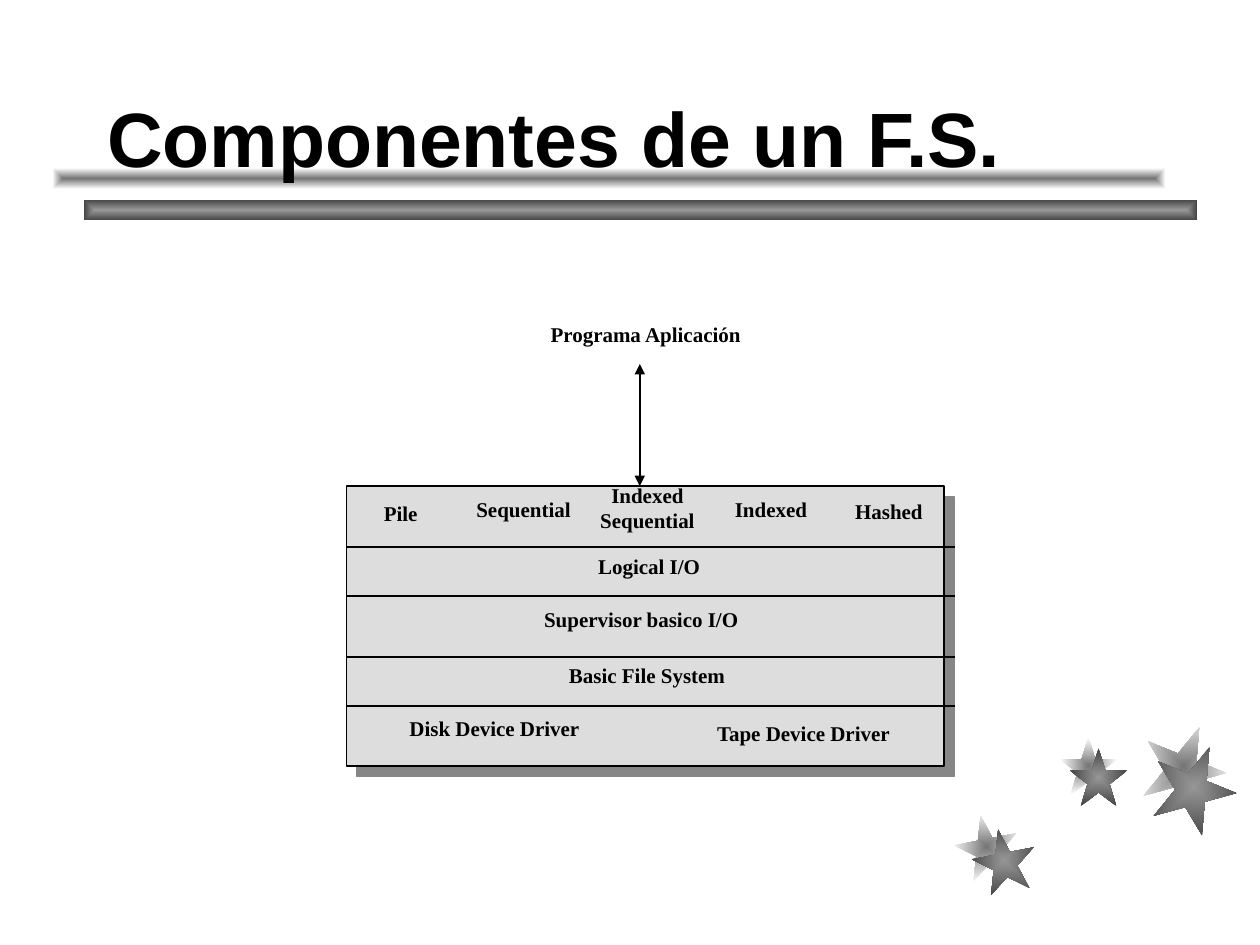
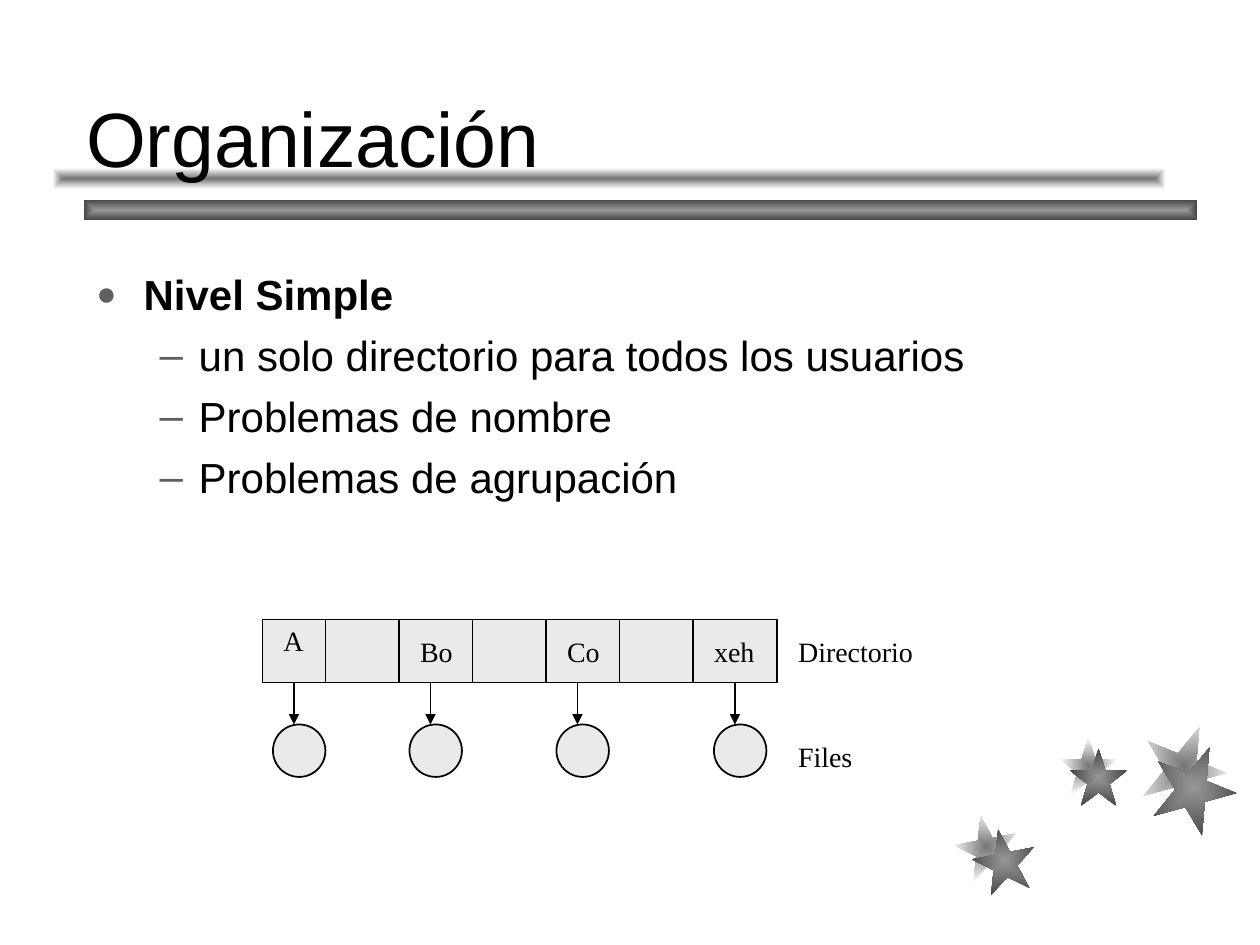
from lxml import etree
from pptx import Presentation
from pptx.dml.color import RGBColor
from pptx.enum.shapes import MSO_CONNECTOR, MSO_SHAPE
from pptx.enum.text import MSO_ANCHOR, MSO_AUTO_SIZE, PP_ALIGN
from pptx.oxml.ns import qn
from pptx.util import Pt

STRAIGHT = MSO_CONNECTOR.STRAIGHT
RECT, OVAL, STAR = MSO_SHAPE.RECTANGLE, MSO_SHAPE.OVAL, MSO_SHAPE.STAR_5_POINT
LEFT, CENTER = PP_ALIGN.LEFT, PP_ALIGN.CENTER
BOTTOM, NO_FIT = MSO_ANCHOR.BOTTOM, MSO_AUTO_SIZE.NONE
TITLE_ONLY = 5

INK, BULLET, SHADOW = "000000", "5F5F5F", "868686"
LAYER_FILL, DIRECTORY_FILL = "DDDDDD", "EAEAEA"
# Gradient colours from the centre to the edge
SOFT, DARK = ("757575", "FFFFFF"), ("969696", "454545")

TITLE = {"name": "Arial", "size": Pt(44), "bold": False}
TITLE_BOLD = {**TITLE, "bold": True}
BODY = {"name": "Arial", "size": Pt(24), "bold": False}
BODY_BOLD = {**BODY, "bold": True}
LAYER_LABEL = {"name": "Times New Roman", "size": Pt(12), "bold": True}
DIRECTORY_LABEL = {"name": "Times New Roman", "size": Pt(16), "bold": False}

# Gradient, then left, top, size and rotation
STARS = [
    (SOFT, 545.8, 465.8, 36, 349), (SOFT, 605.5, 421.2, 33, 0),
    (SOFT, 652.3, 414, 48, 22),
    (DARK, 555.8, 473.8, 36, 349), (DARK, 611.3, 427.7, 33, 0),
    (DARK, 658.1, 425.5, 48, 22),
]
BANDS = [(DARK, 48, 114), (SOFT, 30, 96)]


def rgb(color):
    return RGBColor.from_string(color)


def add_xml(parent, tag, **attributes):
    return etree.SubElement(parent, qn(tag), attributes)


def set_font(font, style):
    for key, value in style.items():
        setattr(font, key, value)
    font.color.rgb = rgb(INK)


class Deck:
    def __init__(self):
        self.presentation = Presentation()
        self.presentation.slide_width = Pt(720)
        self.presentation.slide_height = Pt(540)
        self.shapes = None

    def new_slide(self, title, left, style):
        layout = self.presentation.slide_layouts[TITLE_ONLY]
        self.shapes = self.presentation.slides.add_slide(layout).shapes
        self.decorate()
        heading = self.shapes.title
        # The heading lies in front of the bands
        self.shapes.element.append(heading.element)
        frame_place = {"left": left, "top": 18, "width": 612, "height": 90}
        for key, value in frame_place.items():
            setattr(heading, key, Pt(value))
        frame = heading.text_frame
        frame.text = title
        frame.vertical_anchor = BOTTOM
        frame.auto_size = NO_FIT
        frame.paragraphs[0].alignment = LEFT
        set_font(frame.paragraphs[0].font, style)

    def decorate(self):
        for gradient, left, top, size, rotation in STARS:
            self.gradient_shape(STAR, left, top, size, size, gradient, rotation)
        for gradient, left, top in BANDS:
            self.gradient_shape(RECT, left, top, 636, 12, gradient)

    def add_plain(self, kind, left, top, width, height):
        shape = self.shapes.add_shape(kind, Pt(left), Pt(top), Pt(width), Pt(height))
        shape.shadow.inherit = False
        return shape

    def gradient_shape(self, kind, left, top, width, height, gradient, rotation=0):
        shape = self.add_plain(kind, left, top, width, height)
        shape.rotation = rotation
        shape.line.fill.background()
        shape.fill.gradient()
        for stop, color in zip(shape.fill.gradient_stops, gradient):
            stop.color.rgb = rgb(color)
        grad = shape.element.spPr.find(qn("a:gradFill"))
        grad.remove(grad.find(qn("a:lin")))
        spread = add_xml(grad, "a:path", path="rect")
        add_xml(spread, "a:fillToRect", l="50000", t="50000", r="50000", b="50000")

    def outlined(self, kind, left, top, width, height, fill):
        shape = self.add_plain(kind, left, top, width, height)
        shape.fill.solid()
        shape.fill.fore_color.rgb = rgb(fill)
        shape.line.color.rgb = rgb(INK)
        shape.line.width = Pt(1)
        return shape

    def cast_shadow(self, shape):
        effects = shape.element.spPr.find(qn("a:effectLst"))
        outer = add_xml(effects, "a:outerShdw", dist=str(Pt(8.5)), dir="2700000",
                        algn="ctr", rotWithShape="0")
        add_xml(outer, "a:srgbClr", val=SHADOW)

    def line(self, x1, y1, x2, y2, arrows=()):
        """Draw a line; arrows may hold "headEnd" and "tailEnd", in that order."""
        connector = self.shapes.add_connector(STRAIGHT, Pt(x1), Pt(y1), Pt(x2), Pt(y2))
        connector.line.color.rgb = rgb(INK)
        connector.line.width = Pt(1)
        outline = connector.element.spPr.find(qn("a:ln"))
        for end in arrows:
            add_xml(outline, f"a:{end}", type="triangle")
        add_xml(connector.element.spPr, "a:effectLst")

    def label(self, text, left, top, width, height, style, align=LEFT):
        box = self.shapes.add_textbox(Pt(left), Pt(top), Pt(width), Pt(height))
        frame = box.text_frame
        frame.word_wrap = False
        frame.text = text
        for paragraph in frame.paragraphs:
            paragraph.alignment = align
            set_font(paragraph.font, style)

    def bullets(self, items, left, top, width, height):
        """Write (level, text) items as a two-level list."""
        box = self.shapes.add_textbox(Pt(left), Pt(top), Pt(width), Pt(height))
        frame = box.text_frame
        frame.word_wrap = True
        for index, (level, text) in enumerate(items):
            paragraph = frame.add_paragraph() if index else frame.paragraphs[0]
            mark, size, margin, indent, style = (
                ("–", 100, 58.5, 22.3, BODY) if level
                else ("●", 80, 27, 27, BODY_BOLD))
            paragraph.text = text
            paragraph.level = level
            if index:
                paragraph.space_before = Pt(6)
            properties = paragraph._p.get_or_add_pPr()
            properties.set("marL", str(Pt(margin)))
            properties.set("indent", str(-Pt(indent)))
            color = add_xml(properties, "a:buClr")
            add_xml(color, "a:srgbClr", val=BULLET)
            add_xml(properties, "a:buSzPct", val=str(size * 1000))
            add_xml(properties, "a:buFont", typeface="Arial")
            add_xml(properties, "a:buChar", char=mark)
            set_font(paragraph.font, style)


def build_components(deck):
    deck.new_slide("Componentes de un F.S.", 54, TITLE_BOLD)
    left, top, width, height = 198, 277.8, 341.3, 160
    layers = deck.outlined(RECT, left, top, width, height, LAYER_FILL)
    deck.cast_shadow(layers)
    for boundary in (312.5, 340.5, 375.3, 403.3):
        deck.line(left, boundary, 546, boundary)
    deck.line(365.6, 208, 365.6, top, ("headEnd", "tailEnd"))
    labels = [
        ("Programa Aplicación", 369, 180),
        ("Pile", 229, 282.5),
        ("Sequential", 299.2, 280),
        ("Indexed\nSequential", 370, 272),
        ("Indexed", 440.6, 280),
        ("Hashed", 508, 281.3),
        ("Logical I/O", 371, 312.8),
        ("Supervisor basico I/O", 366.5, 343),
        ("Basic File System", 369.8, 375),
        ("Disk Device Driver", 282.6, 405.4),
        ("Tape Device Driver", 459.2, 408),
    ]
    label_width = 144
    for text, center, label_top in labels:
        label_height = 36 if "\n" in text else 21.6
        deck.label(text, center - label_width / 2, label_top, label_width,
                   label_height, LAYER_LABEL, CENTER)


def build_organization(deck):
    deck.new_slide("Organización", 42, TITLE)
    deck.bullets([
        (0, "Nivel Simple"),
        (1, "un solo directorio para todos los usuarios"),
        (1, "Problemas de nombre"),
        (1, "Problemas de agrupación"),
    ], 48, 150, 618, 324)

    top, height, cell = 354, 36, 42
    bottom, files_top = top + height, 414
    deck.outlined(RECT, 150, top, 294, height, DIRECTORY_FILL)
    for index in range(6):
        divider = 186 + index * cell
        deck.line(divider, top, divider, bottom)

    entries = [
        # name, its left and top, left of its file
        ("A", 154.8, 353, 156),
        ("Bo", 233, 359, 234),
        ("Co", 317, 359, 318),
        ("xeh", 401, 359, 408),
    ]
    for name, name_left, name_top, file_left in entries:
        deck.outlined(OVAL, file_left, files_top, 30, 30, DIRECTORY_FILL)
        deck.line(file_left + 12, bottom, file_left + 12, files_top, ("tailEnd",))
        deck.label(name, name_left, name_top, 42, 26.6, DIRECTORY_LABEL)
    deck.label("Directorio", 449, 359, 84, 26.6, DIRECTORY_LABEL)
    deck.label("Files", 449, 419, 50, 26.6, DIRECTORY_LABEL)


def main():
    deck = Deck()
    build_components(deck)
    build_organization(deck)
    deck.presentation.save("out.pptx")


if __name__ == "__main__":
    main()
